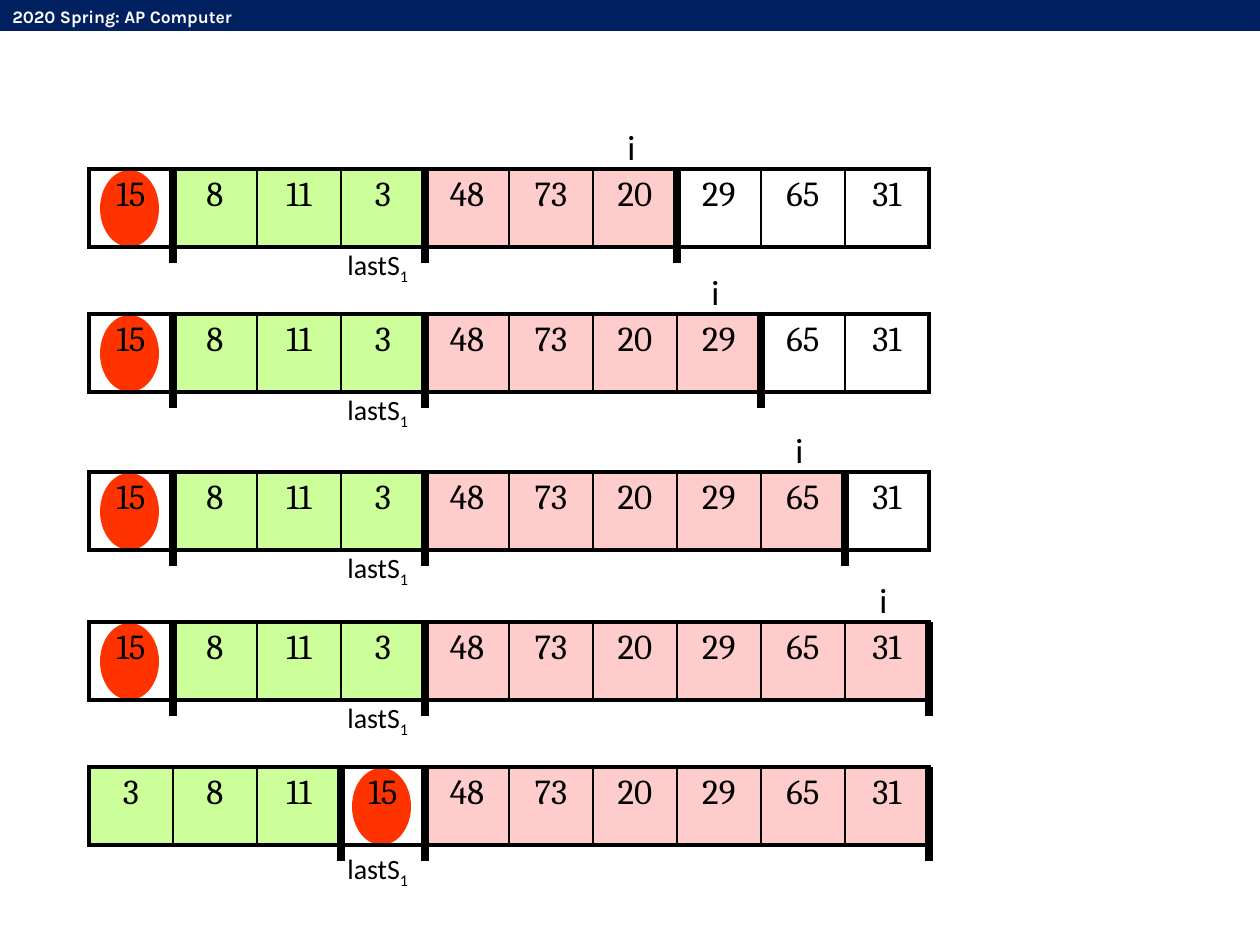
import pptx
import pptx.dml.color
import pptx.enum.shapes
import pptx.enum.text
import pptx.oxml.ns
import pptx.util
import lxml.etree

PX = 914400 / 126
CELL_W, CELL_H = 84, 78
BLACK, WHITE, NAVY = "000000", "FFFFFF", "002060"
GREEN, PINK, RED = "CCFF99", "FFCCCC", "FF3300"


def px(length):
    return pptx.util.Emu(round(length * PX))


def box(*lengths):
    return [px(length) for length in lengths]


def color(hex_code):
    return pptx.dml.color.RGBColor.from_string(hex_code)


def style(run, size, font, hex_code=BLACK, bold=False):
    run.font.size = pptx.util.Pt(size)
    run.font.name = font
    run.font.bold = bold
    run.font.color.rgb = color(hex_code)


def add_block(slide, preset, hex_code, *bounds):
    block = slide.shapes.add_shape(preset, *box(*bounds))
    block.shadow.inherit = False
    block.fill.solid()
    block.fill.fore_color.rgb = color(hex_code)
    block.line.fill.background()


def add_label(slide, text, size, font, bounds, hex_code=BLACK, bold=False):
    frame = slide.shapes.add_textbox(*box(*bounds)).text_frame
    frame.word_wrap = False
    frame.auto_size = pptx.enum.text.MSO_AUTO_SIZE.SHAPE_TO_FIT_TEXT
    frame.text = text
    style(frame.paragraphs[0].runs[0], size, font, hex_code, bold)
    return frame.paragraphs[0]


def add_borders(cell, widths):
    properties = cell._tc.get_or_add_tcPr()
    for side, width in zip("LRTB", widths):
        line = lxml.etree.SubElement(
            properties, pptx.oxml.ns.qn("a:ln" + side), w=str(pptx.util.Pt(width)))
        fill = lxml.etree.SubElement(line, pptx.oxml.ns.qn("a:solidFill"))
        lxml.etree.SubElement(fill, pptx.oxml.ns.qn("a:srgbClr"), val=BLACK)


def add_array(slide, left, top, values, fills):
    last = len(values) - 1
    table = slide.shapes.add_table(
        1, len(values), *box(left, top, CELL_W * len(values), CELL_H)).table
    table.first_row = False
    table.horz_banding = False
    for index, (value, fill) in enumerate(zip(values, fills)):
        table.columns[index].width = px(CELL_W)
        cell = table.cell(0, index)
        add_borders(cell, (2.25 if index == 0 else 1,
                           2.25 if index == last else 1, 2.25, 2.25))
        if fill:
            cell.fill.solid()
            cell.fill.fore_color.rgb = color(fill)
        else:
            cell.fill.background()
        cell.text_frame.text = str(value)
        paragraph = cell.text_frame.paragraphs[0]
        paragraph.alignment = pptx.enum.text.PP_ALIGN.CENTER
        style(paragraph.runs[0], 20, "Cambria")


def add_divider(slide, x, top):
    divider = slide.shapes.add_connector(
        pptx.enum.shapes.MSO_CONNECTOR.STRAIGHT, *box(x, top, x, top + 94))
    divider.line.color.rgb = color(BLACK)
    divider.line.width = pptx.util.Pt(4.5)
    lxml.etree.SubElement(divider._element.spPr, pptx.oxml.ns.qn("a:effectLst"))


def add_step(slide, left, top, values, pivot, scanned, label_drop, show_i):
    fills = [None if index == pivot or index >= scanned
             else GREEN if index < 4 else PINK for index in range(len(values))]
    add_block(slide, pptx.enum.shapes.MSO_SHAPE.OVAL, RED,
              left + pivot * CELL_W + 11, top + 1, 59, 77)
    add_array(slide, left, top, values, fills)
    for boundary in (pivot or 1, 4, scanned):
        add_divider(slide, left + boundary * CELL_W, top)
    if show_i:
        add_label(slide, "i", 20, "Calibri",
                  (left + (scanned - 1) * CELL_W + 22, top - 50, 33, 54))
    last_s = add_label(slide, "lastS", 16, "Calibri",
                       (left + 246, top + label_drop, 98, 47))
    subscript = last_s.add_run()
    subscript.text = "1"
    style(subscript, 16, "Calibri")
    subscript._r.get_or_add_rPr().set("baseline", "-25000")


def add_header(slide, left, top, width, height):
    add_block(slide, pptx.enum.shapes.MSO_SHAPE.RECTANGLE, NAVY,
              left, top, width, height)
    add_label(slide, "2020 Spring: AP Computer", 10, "Karla",
              (left, top, 291, 34), WHITE, True)


def main():
    deck = pptx.Presentation()
    deck.slide_width, deck.slide_height = box(1260, 945)
    slide = deck.slides.add_slide(deck.slide_layouts[6])
    add_header(slide, 0, 0, 1260, 31)

    upper = [48, 73, 20, 29, 65, 31]
    scanning = [15, 8, 11, 3] + upper
    for top, scanned in ((169, 7), (314, 8), (472, 9), (622, 10)):
        add_step(slide, 89, top, scanning, 0, scanned, 72, True)
    add_step(slide, 89, 767, [3, 8, 11, 15] + upper, 3, 10, 78, False)
    deck.save("out.pptx")


if __name__ == "__main__":
    main()
